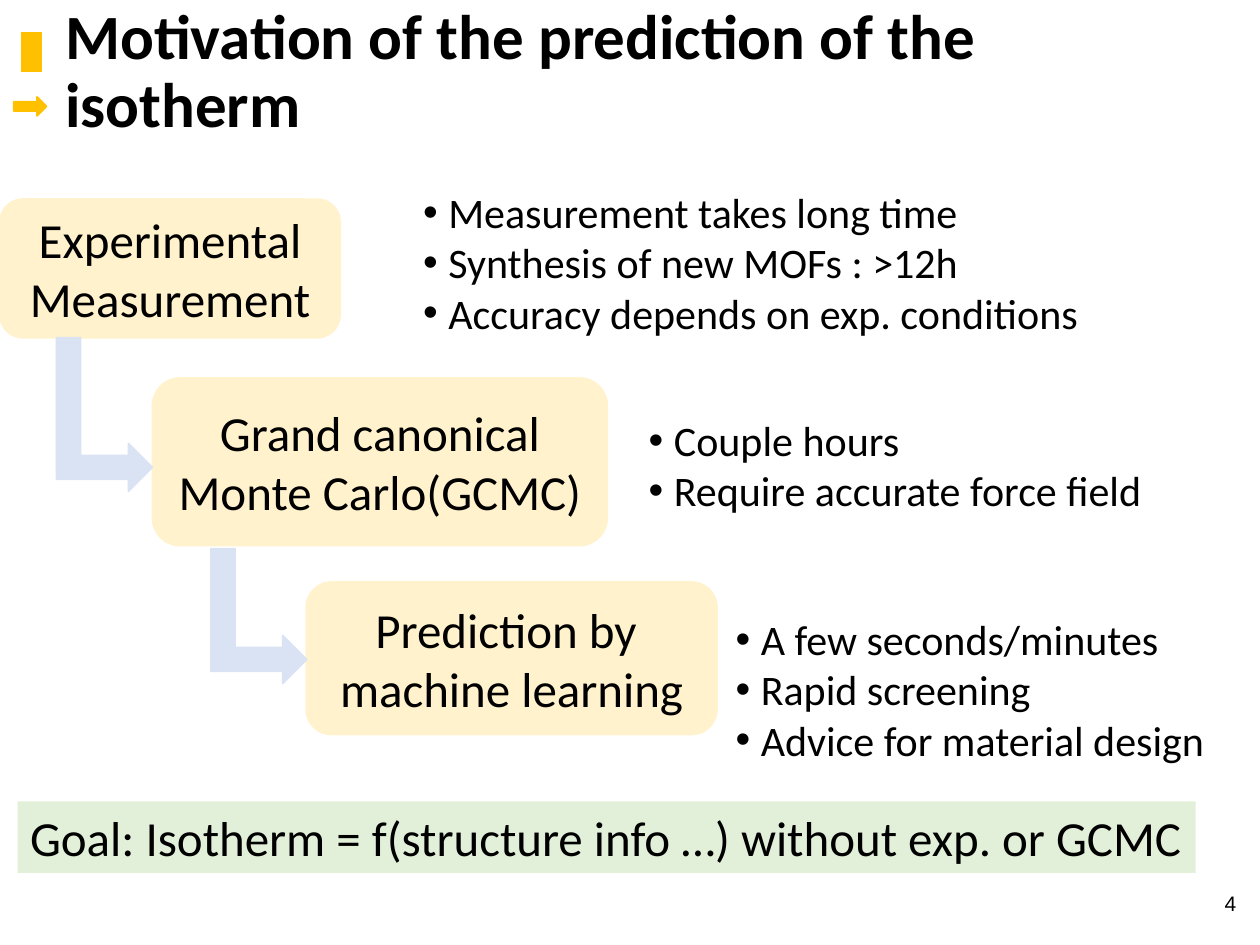
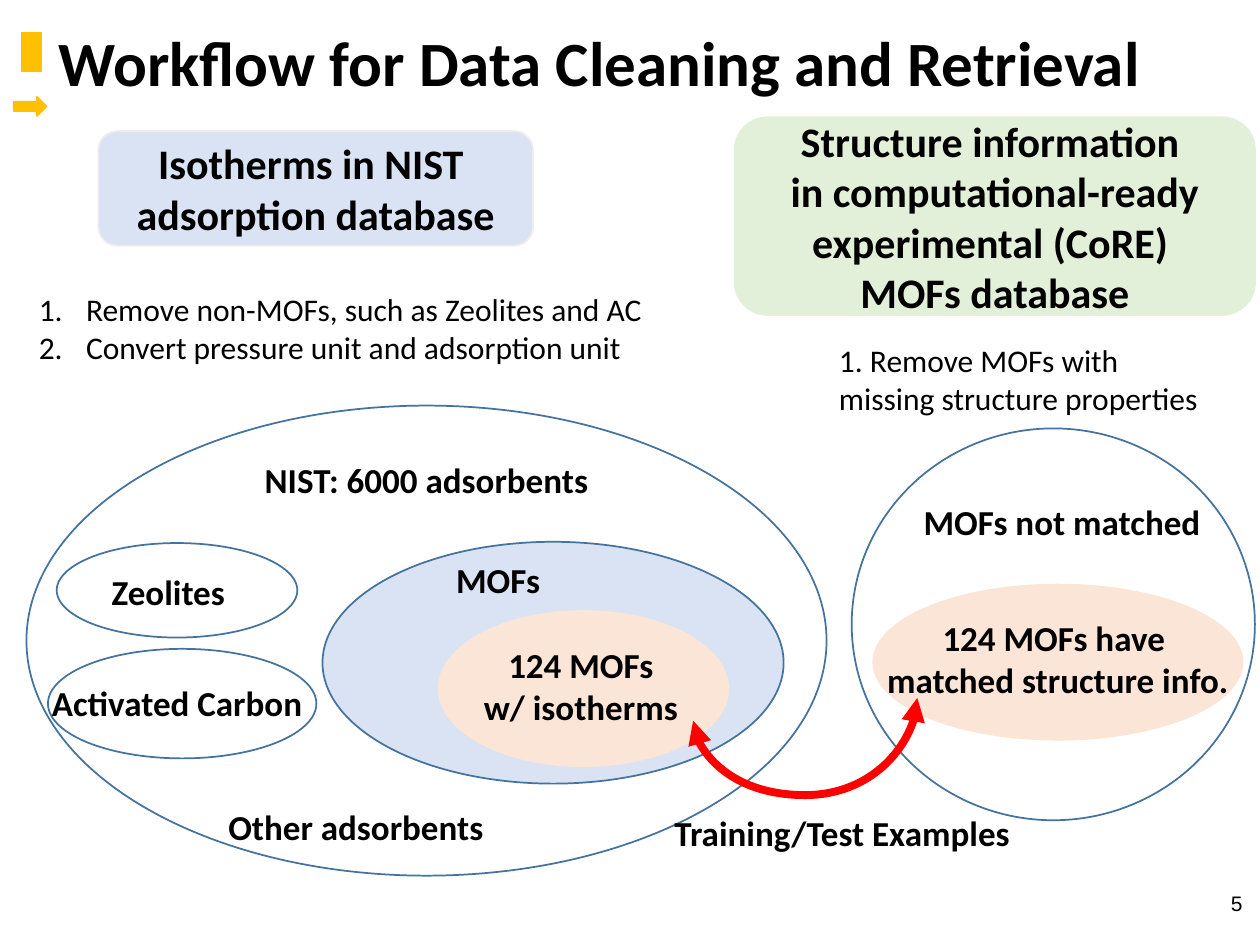
import lxml.etree
import pptx
import pptx.dml.color
import pptx.enum.shapes
import pptx.enum.text
import pptx.oxml.ns
import pptx.util

Pt = pptx.util.Pt
SHAPE = pptx.enum.shapes.MSO_SHAPE
ALIGN = pptx.enum.text.PP_ALIGN
ANCHOR = pptx.enum.text.MSO_ANCHOR
FIT = pptx.enum.text.MSO_AUTO_SIZE
qn = pptx.oxml.ns.qn

COLORS = {
    "black": "000000",
    "gold": "FFC000",
    "cream": "FFF2CC",
    "blue": "DAE3F3",
    "green": "E2F0D9",
    "peach": "FBE5D6",
    "outline": "43739E",
    "grey": "EDEDED",
    "red": "FF0000",
}


def rgb(name):
    return pptx.dml.color.RGBColor.from_string(COLORS[name])


def put(page, kind, frame, text="", *, fill=None, line=None, weight=1, size=20,
        font="Calibri", bold=False, align=ALIGN.CENTER, anchor=ANCHOR.MIDDLE,
        wrap=True, grow=False, spacing=None, bullet=None, indent=0):
    """Place a preset shape, or a text box if kind is None, and write its text."""
    frame = [Pt(value) for value in frame]
    if kind is None:
        box = page.shapes.add_textbox(*frame)
    else:
        box = page.shapes.add_shape(kind, *frame)
        box.shadow.inherit = False
        for part, color in ((box.fill, fill), (box.line.fill, line)):
            if color:
                part.solid()
                part.fore_color.rgb = rgb(color)
            else:
                part.background()
        if line:
            box.line.width = Pt(weight)
    if not text:
        return box

    body = box.text_frame
    body.word_wrap = wrap
    body.auto_size = FIT.SHAPE_TO_FIT_TEXT if grow else FIT.NONE
    body.vertical_anchor = anchor
    for number, words in enumerate(text.split("\n")):
        para = body.add_paragraph() if number else body.paragraphs[0]
        para.alignment = align
        if spacing:
            para.line_spacing = spacing
        if bullet:
            props = para._p.get_or_add_pPr()
            props.set("marL", str(Pt(indent)))
            props.set("indent", str(-Pt(indent)))
            if bullet == "1.":
                lxml.etree.SubElement(props, qn("a:buFont"), typeface="+mj-lt")
                lxml.etree.SubElement(props, qn("a:buAutoNum"), type="arabicPeriod")
            else:
                lxml.etree.SubElement(props, qn("a:buFont"), typeface="Arial")
                lxml.etree.SubElement(props, qn("a:buChar"), char=bullet)
        span = para.add_run()
        span.text = words
        span.font.name = font
        span.font.size = Pt(size)
        span.font.bold = bold
        span.font.color.rgb = rgb("black")
    return box


deck = pptx.Presentation()
deck.slide_width = Pt(720)
deck.slide_height = Pt(540)

# Shared frame: gold marks, title and page number
pages = []
for title, title_left, title_top, number, number_left in (
    ("Motivation of the prediction of the isotherm", 30.2, 10, "4", 551.5),
    ("Workflow for Data Cleaning and Retrieval", 26.6, 5.8, "5", 555.1),
):
    page = deck.slides.add_slide(deck.slide_layouts[6])
    put(page, SHAPE.RECTANGLE, (12.2, 18.7, 11.5, 22.3),
        fill="gold", line="gold", weight=0.5)
    put(page, SHAPE.RIGHT_ARROW, (7.9, 55.4, 18.7, 10.8), fill="gold", line="gold")
    put(page, None, (title_left, title_top, 667.4, 64), title,
        size=36, bold=True, align=ALIGN.LEFT, spacing=0.9)
    put(page, None, (number_left, 501.8, 162, 28.8), number,
        size=12, font="Arial", align=ALIGN.RIGHT)
    pages.append(page)
motivation, workflow = pages

# Motivation: staircase of methods with their remarks
steps = (
    ("Experimental Measurement", (0, 113.8, 194.4, 79.2),
     "Measurement takes long time\nSynthesis of new MOFs : >12h\n"
     "Accuracy depends on exp. conditions", (234.7, 103, 398.2, 94.3)),
    ("Grand canonical Monte Carlo(GCMC)", (87.1, 216, 259.9, 95.8),
     "Couple hours\nRequire accurate force field", (363.6, 233.3, 298.8, 65.5)),
    ("Prediction by \nmachine learning", (175, 332.6, 234.7, 87.1),
     "A few seconds/minutes\nRapid screening\nAdvice for material design",
     (413.3, 347, 285.1, 94.3)),
)
for method, method_frame, remarks, remarks_frame in steps:
    put(motivation, SHAPE.ROUNDED_RECTANGLE, method_frame, method,
        fill="cream", line="cream", size=28)
    put(motivation, None, remarks_frame, remarks, size=24, align=ALIGN.LEFT,
        anchor=ANCHOR.TOP, wrap=False, grow=True, bullet="•", indent=14.4)

for arrow_frame in ((15.8, 209.5, 87.8, 54.7), (109.4, 324.7, 77, 54.7)):
    arrow = put(motivation, SHAPE.BENT_UP_ARROW, arrow_frame, fill="blue", line="blue")
    arrow.rotation = 90

# Motivation: goal banner
put(motivation, SHAPE.RECTANGLE, (10.1, 457.9, 673.2, 41),
    "Goal: Isotherm = f(structure info …) without exp. or GCMC", fill="green",
    size=28, align=ALIGN.LEFT, anchor=ANCHOR.TOP, wrap=False, grow=True)

# Workflow: the two source databases
put(workflow, SHAPE.ROUNDED_RECTANGLE, (56.2, 74.9, 248.4, 65.5),
    "Isotherms in NIST \nadsorption database",
    fill="blue", line="grey", size=24, bold=True)
put(workflow, SHAPE.ROUNDED_RECTANGLE, (419.8, 67, 297.4, 113),
    "Structure information \nin computational-ready experimental (CoRE) \nMOFs database",
    fill="green", line="green", size=24, bold=True)

# Workflow: cleaning steps
put(workflow, None, (15.1, 162, 362.9, 51.1),
    "Remove non-MOFs, such as Zeolites and AC\n"
    "Convert pressure unit and adsorption unit",
    size=18, align=ALIGN.LEFT, anchor=ANCHOR.TOP, wrap=False, grow=True,
    bullet="1.", indent=27)
put(workflow, None, (472.3, 191.5, 229, 51.1),
    "1. Remove MOFs with missing structure properties",
    size=18, align=ALIGN.LEFT, anchor=ANCHOR.TOP, grow=True)

# Workflow: sets of adsorbents
for set_frame, fill, line in (
    ((184.3, 309.6, 263.5, 138.2), "blue", "outline"),
    ((250.6, 349.2, 165.6, 88.6), "peach", "peach"),
    ((15.1, 231.8, 457.2, 268.6), None, "outline"),
    ((32.4, 310.3, 137.5, 54), None, "outline"),
    ((27.4, 370.8, 153.4, 62.6), None, "outline"),
    ((486.7, 244.8, 230.4, 223.9), None, "outline"),
    ((499, 334.1, 211, 88.6), "peach", "peach"),
):
    put(workflow, SHAPE.OVAL, set_frame, fill=fill, line=line)

# Workflow: set labels
for label, label_frame in (
    ("NIST: 6000 adsorbents", (143.3, 258.5, 200.9, 31.7)),
    ("Zeolites", (56.2, 322.6, 79.9, 31.7)),
    ("Activated Carbon", (21.6, 385.9, 159.1, 31.7)),
    ("MOFs", (253.4, 315.4, 62.6, 31.7)),
    ("124 MOFs\nw/ isotherms", (268.6, 364.3, 126.7, 55.4)),
    ("Other adsorbents", (122.4, 456.5, 162, 31.7)),
    ("Training/Test Examples", (375.8, 460.1, 211, 31.7)),
    ("MOFs not matched", (519.8, 282.2, 174.2, 31.7)),
    ("124 MOFs have \nmatched structure info.", (499, 348.5, 211, 55.4)),
):
    put(workflow, None, label_frame, label, bold=True, anchor=ANCHOR.TOP,
        wrap=False, grow=True)

# Workflow: double-headed curve joining the matched sets
curve = workflow.shapes.add_connector(
    pptx.enum.shapes.MSO_CONNECTOR.CURVE, Pt(466.6), Pt(469.4), Pt(453.6), Pt(341.3))
curve.line.color.rgb = rgb("red")
curve.line.width = Pt(4.5)
properties = curve._element.spPr
properties.find(qn("a:xfrm")).set("rot", "5400000")
geometry = properties.find(qn("a:prstGeom"))
adjustments = geometry.find(qn("a:avLst"))
if adjustments is None:
    adjustments = lxml.etree.SubElement(geometry, qn("a:avLst"))
lxml.etree.SubElement(adjustments, qn("a:gd"), name="adj1", fmla="val -326700")
stroke = properties.find(qn("a:ln"))
for end in ("a:headEnd", "a:tailEnd"):
    lxml.etree.SubElement(stroke, qn(end), type="triangle")
lxml.etree.SubElement(properties, qn("a:effectLst"))

deck.save("out.pptx")
